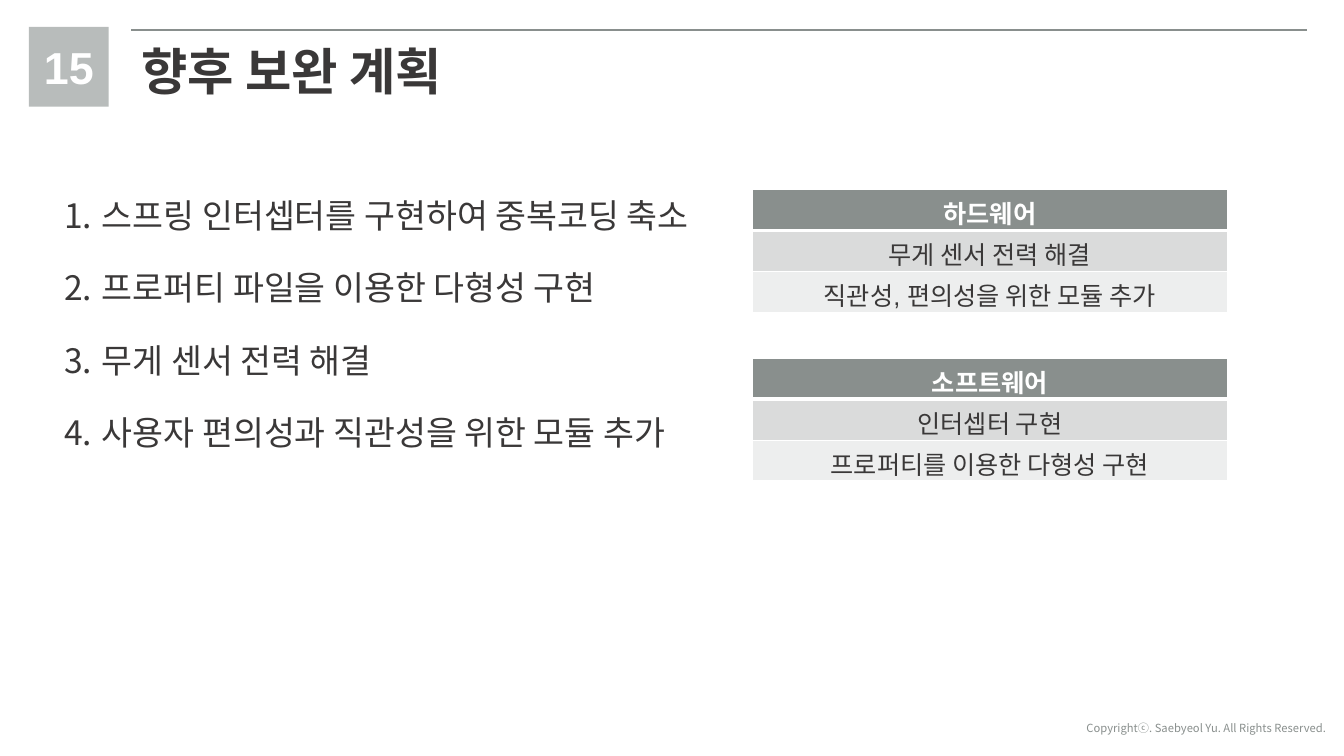
import pptx
import pptx.dml.color
import pptx.enum.shapes
import pptx.enum.text
import pptx.oxml.ns
import pptx.util
from lxml import etree
from pptx.util import Cm

DARK, GRAY, LIGHT, WHITE = "3A3838", "898F8D", "B8BCBB", "FFFFFF"
NOTO = "Noto Sans CJK KR"
ALIGN = pptx.enum.text.PP_ALIGN


def rgb(color):
    """Turn a hex string into a colour."""
    return pptx.dml.color.RGBColor.from_string(color)


def add_element(parent, tag, **attributes):
    """Append a drawing element to its parent."""
    return etree.SubElement(parent, pptx.oxml.ns.qn(tag), **attributes)


def format_paragraph(p, size, color, font="Arial", bold=False, align=ALIGN.LEFT):
    """Style a paragraph and its runs."""
    p.alignment = align
    for r in p.runs:
        r.font.size = pptx.util.Pt(size)
        r.font.bold = bold
        r.font.name = font
        r.font.color.rgb = rgb(color)
        if font == NOTO:
            add_element(r._r.get_or_add_rPr(), "a:ea", typeface=font)


def add_text(s, box, text, wrap=True, **style):
    """Add a text box and return its frame."""
    tf = s.shapes.add_textbox(*map(Cm, box)).text_frame
    tf.word_wrap = wrap
    tf.text = text
    for p in tf.paragraphs:
        format_paragraph(p, **style)
    return tf


def add_numbered_list(s, box, items):
    """Add an automatically numbered list with even gaps."""
    tf = add_text(s, box, "\n".join(items), size=24, color=DARK, font=NOTO)
    for i, p in enumerate(tf.paragraphs):
        pPr = p._p.get_or_add_pPr()
        indent = Cm(0.95)
        pPr.set("marL", str(indent))
        pPr.set("indent", str(-indent))
        add_element(pPr, "a:buFont", typeface="+mj-lt")
        add_element(pPr, "a:buAutoNum", type="arabicPeriod")
        if i:
            p.space_before = pptx.util.Pt(23)


def add_rule(s, left, right, top):
    """Add the thin line above the title."""
    line = s.shapes.add_connector(
        pptx.enum.shapes.MSO_CONNECTOR.STRAIGHT, Cm(left), Cm(top), Cm(right), Cm(top))
    line.line.color.rgb = rgb(GRAY)
    line.line.width = pptx.util.Pt(1.5)
    add_element(line._element.spPr, "a:effectLst")


def add_square(s, left, top, side):
    """Add the square behind the page number."""
    sp = s.shapes.add_shape(
        pptx.enum.shapes.MSO_SHAPE.RECTANGLE, Cm(left), Cm(top), Cm(side), Cm(side))
    sp.shadow.inherit = False
    sp.fill.solid()
    sp.fill.fore_color.rgb = rgb(LIGHT)
    sp.line.fill.background()


def add_borders(cell, bottom):
    """Draw white borders around a cell."""
    tcPr = cell._tc.get_or_add_tcPr()
    for side, width in (("L", 1), ("R", 1), ("T", 1), ("B", bottom)):
        ln = add_element(tcPr, f"a:ln{side}", w=str(pptx.util.Pt(width)))
        fill = add_element(ln, "a:solidFill")
        add_element(fill, "a:srgbClr", val=WHITE)


def add_plan_table(s, top, rows):
    """Add a one-column table with a dark header row."""
    height = 1.03
    table = s.shapes.add_table(
        len(rows), 1, Cm(18.95), Cm(top), Cm(11.99), Cm(height * len(rows))).table
    for i, (text, fill) in enumerate(zip(rows, (GRAY, "DADBDB", "EDEEEE"))):
        header = i == 0
        table.rows[i].height = Cm(height)
        cell = table.cell(i, 0)
        cell.text_frame.text = text
        format_paragraph(cell.text_frame.paragraphs[0], 18, WHITE if header else DARK,
                         bold=header, align=ALIGN.CENTER)
        add_borders(cell, 3 if header else 1)
        cell.fill.solid()
        cell.fill.fore_color.rgb = rgb(fill)


def main():
    """Build and save the slide."""
    prs = pptx.Presentation()
    prs.slide_width, prs.slide_height = Cm(33.87), Cm(19.05)
    s = prs.slides.add_slide(prs.slide_layouts[6])
    add_text(s, (27.03, 18.06, 6.65, 0.6), "Copyrightⓒ. Saebyeol Yu. All Rights Reserved.",
             wrap=False, size=8, color=GRAY, font=NOTO, align=ALIGN.RIGHT)
    add_rule(s, 3.31, 32.95, 0.76)
    add_square(s, 0.73, 0.68, 2.01)
    add_text(s, (0.73, 0.88, 2.01, 1.62), "15",
             size=32, color=WHITE, bold=True, align=ALIGN.CENTER)
    add_text(s, (3.31, 0.88, 8.69, 1.8), "향후 보완 계획",
             wrap=False, size=36, color=DARK, bold=True)
    add_numbered_list(s, (1.37, 4.78, 26.49, 8.46), (
        "스프링 인터셉터를 구현하여 중복코딩 축소",
        "프로퍼티 파일을 이용한 다형성 구현",
        "무게 센서 전력 해결",
        "사용자 편의성과 직관성을 위한 모듈 추가"))
    add_plan_table(s, 9.03, ("소프트웨어", "인터셉터 구현", "프로퍼티를 이용한 다형성 구현"))
    add_plan_table(s, 4.78, ("하드웨어", "무게 센서 전력 해결", "직관성, 편의성을 위한 모듈 추가"))
    prs.save("out.pptx")


if __name__ == "__main__":
    main()
